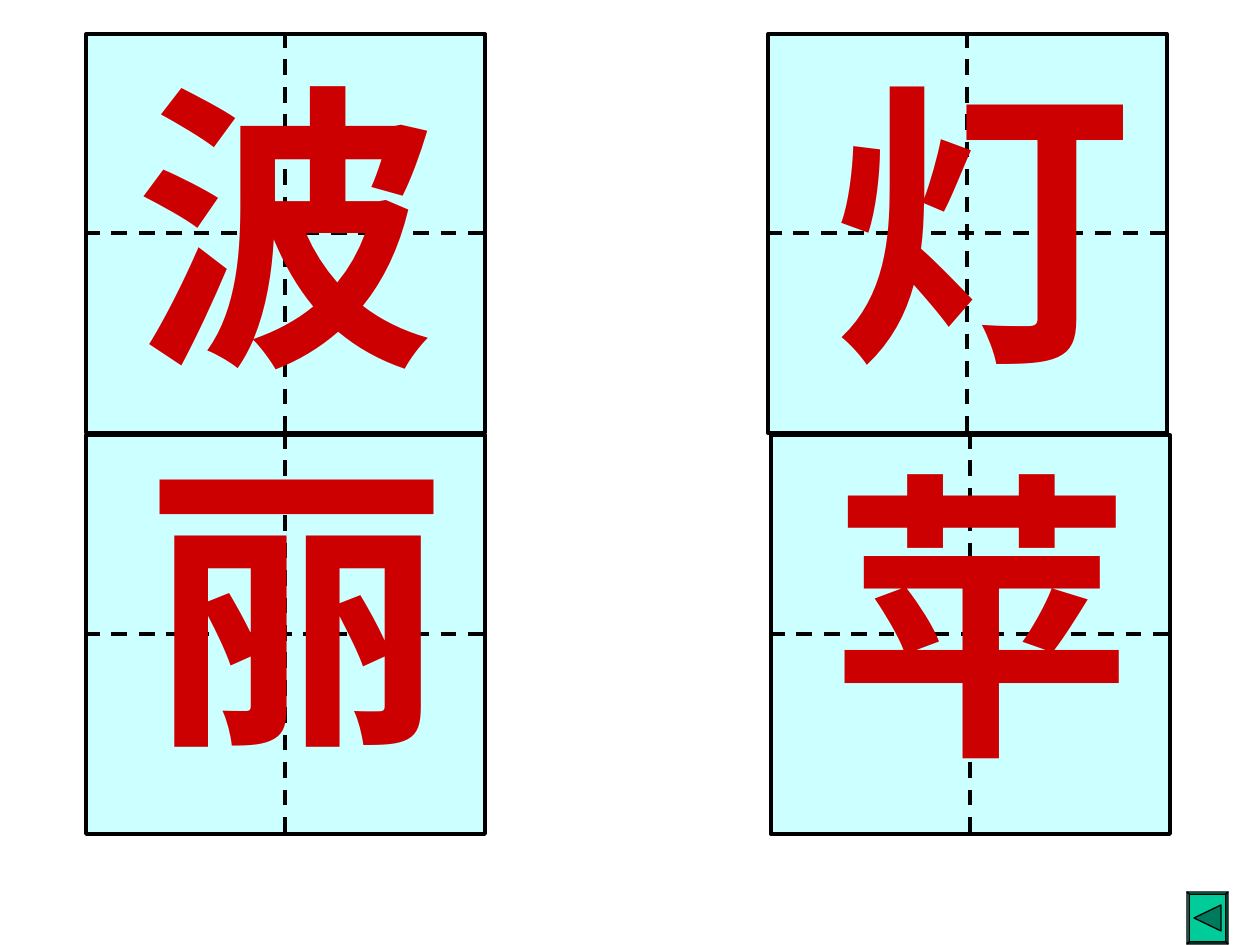
import pptx
import pptx.util
import pptx.oxml
import pptx.oxml.ns
import pptx.dml.color
import pptx.enum.dml
import pptx.enum.shapes
import pptx.enum.text

SCALE = 914400 / 126
SIDE = 399
HUES = {
    "cell": "CCFFFF", "ink": "000000", "word": "CC0000",
    "face": "00CC99", "light": "33D6AD", "pale": "66E0C2",
    "dim": "00A37A", "dark": "007A5C",
}


def px(num):
    """Turn pixels into EMU."""
    return pptx.util.Emu(round(num * SCALE))


def hue(name):
    """Give the named colour."""
    return pptx.dml.color.RGBColor.from_string(HUES[name])


def paint(shape, fill, width):
    """Set a solid fill and a black outline, without shadow."""
    shape.shadow.inherit = False
    shape.fill.solid()
    shape.fill.fore_color.rgb = hue(fill)
    shape.line.color.rgb = hue("ink")
    shape.line.width = pptx.util.Pt(width)


def dash(group, *ends):
    """Draw a dashed guide line."""
    kind = pptx.enum.shapes.MSO_CONNECTOR.STRAIGHT
    line = group.shapes.add_connector(kind, *map(px, ends))
    line.line.color.rgb = hue("ink")
    line.line.width = pptx.util.Pt(2.25)
    line.line.dash_style = pptx.enum.dml.MSO_LINE.DASH
    props = line._element.spPr
    props.append(pptx.oxml.parse_xml(
        f"<a:effectLst {pptx.oxml.ns.nsdecls('a')}/>"))


def grid(slide, left, top):
    """Draw a writing square with its crossed guides."""
    group = slide.shapes.add_group_shape()
    kind = pptx.enum.shapes.MSO_SHAPE.RECTANGLE
    cell = group.shapes.add_shape(kind, *map(px, (left, top, SIDE, SIDE)))
    paint(cell, "cell", 2.25)
    mid = SIDE // 2
    dash(group, left - 2, top + mid, left + SIDE + 2, top + mid)
    dash(group, left + mid, top - 2, left + mid, top + SIDE + 2)


def text(slide, words, box, size=172, color="word", font="Times New Roman", bold=True):
    """Place a text box with formatted words."""
    frame = slide.shapes.add_textbox(*map(px, box)).text_frame
    frame.word_wrap = True
    frame.auto_size = pptx.enum.text.MSO_AUTO_SIZE.SHAPE_TO_FIT_TEXT
    run = frame.paragraphs[0].add_run()
    run.text = words
    run.font.size = pptx.util.Pt(size)
    run.font.name = font
    run.font.bold = bold
    run.font.color.rgb = hue(color)


def patch(slide, points, fill):
    """Draw a closed outline through the points."""
    build = slide.shapes.build_freeform(*points[0], scale=SCALE)
    build.add_line_segments(points[1:], close=True)
    paint(build.convert_to_shape(), fill, 0.75)


def ring(left, top, right, low):
    """List the corners of a rectangle, clockwise."""
    return [(left, top), (right, top), (right, low), (left, low)]


def button(slide):
    """Draw the bevelled back button."""
    outer = ring(1187, 892, 1228, 944)
    inner = ring(1189, 894, 1226, 942)
    patch(slide, inner, "face")
    for i, fill in enumerate(("light", "dim", "dark", "pale")):
        j = (i + 1) % 4
        patch(slide, [outer[i], outer[j], inner[j], inner[i]], fill)
    patch(slide, [(1194, 918), (1221, 905), (1221, 931)], "dark")


def main():
    """Build and save the slide."""
    deck = pptx.Presentation()
    deck.slide_width, deck.slide_height = px(1260), px(945)
    slide = deck.slides.add_slide(deck.slide_layouts[6])
    for left, top in ((86, 34), (768, 34), (86, 435), (771, 435)):
        grid(slide, left, top)
    words = {
        "波": (123, 35, 305, 374),
        "灯": (819, 32, 315, 374),
        "丽": (134, 413, 315, 374),
        "苹": (819, 423, 294, 374),
    }
    for word, box in words.items():
        text(slide, word, box)
    button(slide)
    deck.save("out.pptx")


if __name__ == "__main__":
    main()
